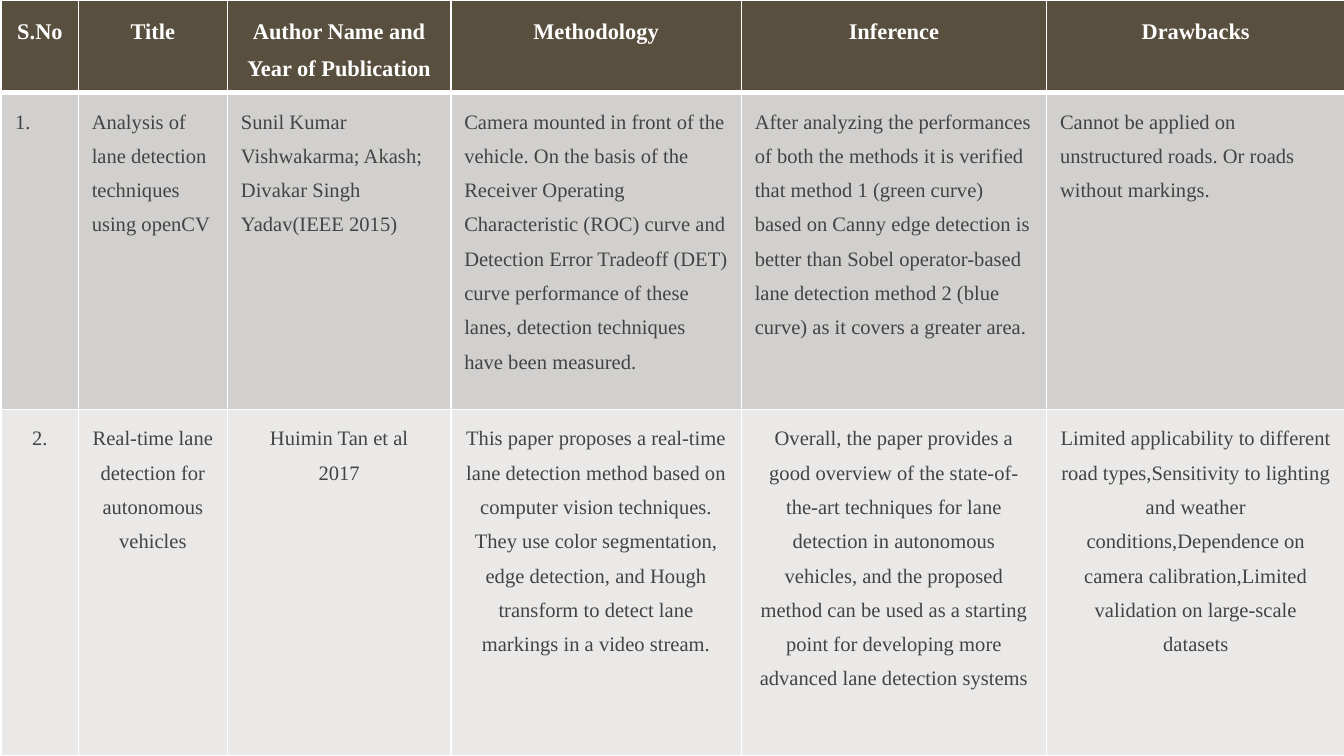
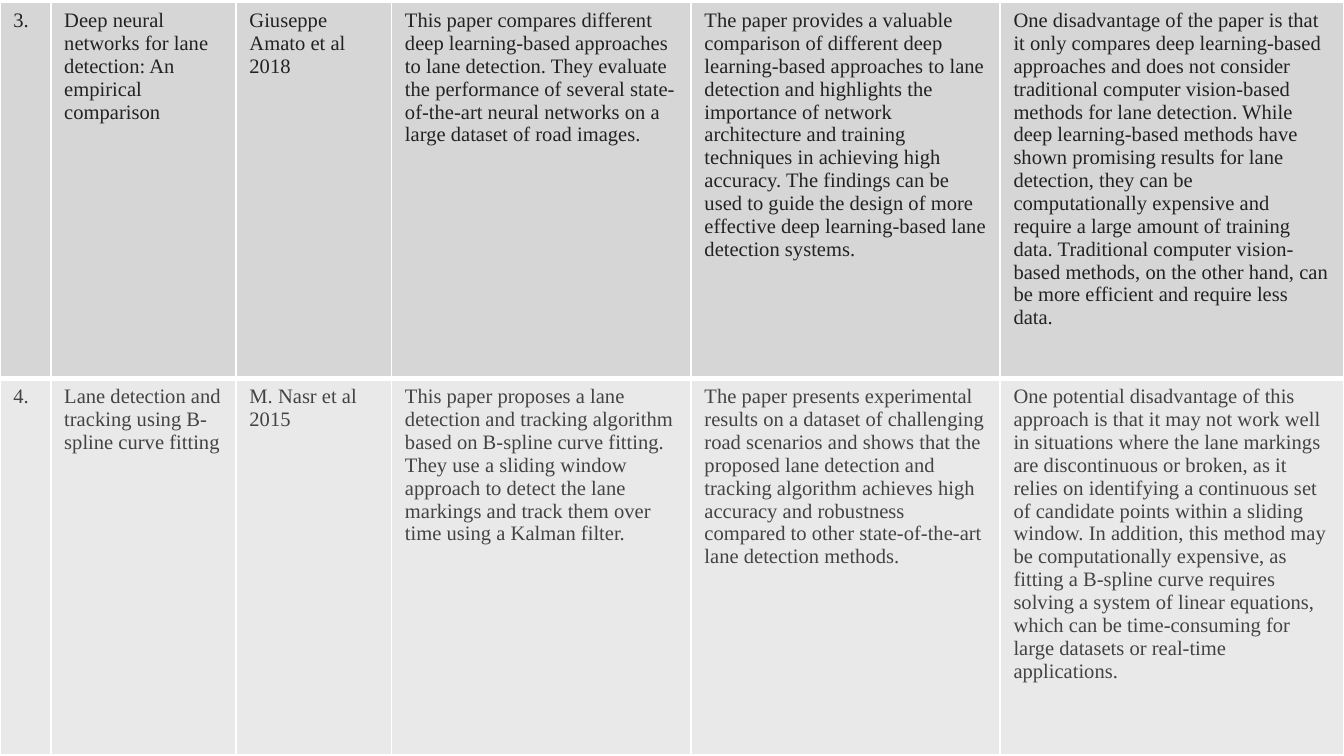
from lxml import etree
from pptx import Presentation, util as u
from pptx.dml import color
from pptx.enum import text
from pptx.oxml import ns

FONT = "Times New Roman"
WHITE = "FFFFFF"
GREY_TEXT = "434343"
CENTER = text.PP_ALIGN.CENTER
LEFT = text.PP_ALIGN.LEFT

HEADER = dict(fill="584F3E", ink=WHITE, size=12, bold=True, align=CENTER, spacing=1.5, bottom=3)
STUDY_1 = dict(fill="D1D0CE", ink=GREY_TEXT, spacing=1.5)
STUDY_2 = dict(fill="EAE9E8", ink=GREY_TEXT, align=CENTER, spacing=1.5)
STUDY_3 = dict(fill="D6D6D6", ink="222222", bottom=3)
STUDY_4 = dict(fill="E9E9E9", ink=GREY_TEXT)

FIRST_ROWS = [
    (1.75, HEADER, [
        "S.No", "Title", "Author Name and Year of Publication",
        "Methodology", "Inference", "Drawbacks",
    ]),
    (5.99, STUDY_1, [
        "1.",
        "Analysis of lane detection techniques using openCV",
        "Sunil Kumar Vishwakarma; Akash; Divakar Singh Yadav(IEEE 2015)",
        "Camera mounted in front of the vehicle. On the basis of the Receiver Operating "
        "Characteristic (ROC) curve and Detection Error Tradeoff (DET) curve performance "
        "of these lanes, detection techniques have been measured.",
        "After analyzing the performances of both the methods it is verified that method 1 "
        "(green curve) based on Canny edge detection is better than Sobel operator-based "
        "lane detection method 2 (blue curve) as it covers a greater area.",
        "Cannot be applied on unstructured roads. Or roads without markings.",
    ]),
    (6.55, STUDY_2, [
        "2.",
        "Real-time lane detection for autonomous vehicles",
        "Huimin Tan et al\n2017",
        "This paper proposes a real-time lane detection method based on computer vision "
        "techniques. They use color segmentation, edge detection, and Hough transform to "
        "detect lane markings in a video stream.",
        "Overall, the paper provides a good overview of the state-of-the-art techniques for "
        "lane detection in autonomous vehicles, and the proposed method can be used as a "
        "starting point for developing more advanced lane detection systems",
        "Limited applicability to different road types,Sensitivity to lighting and weather "
        "conditions,Dependence on camera calibration,Limited validation on large-scale datasets",
    ]),
]

SECOND_ROWS = [
    (7.11, STUDY_3, [
        "3.",
        "Deep neural networks for lane detection: An empirical comparison",
        "Giuseppe Amato et al 2018",
        "This paper compares different deep learning-based approaches to lane detection. "
        "They evaluate the performance of several state-of-the-art neural networks on a "
        "large dataset of road images.",
        "The paper provides a valuable comparison of different deep learning-based approaches "
        "to lane detection and highlights the importance of network architecture and training "
        "techniques in achieving high accuracy. The findings can be used to guide the design "
        "of more effective deep learning-based lane detection systems.",
        "One disadvantage of the paper is that it only compares deep learning-based approaches "
        "and does not consider traditional computer vision-based methods for lane detection. "
        "While deep learning-based methods have shown promising results for lane detection, "
        "they can be computationally expensive and require a large amount of training data. "
        "Traditional computer vision-based methods, on the other hand, can be more efficient "
        "and require less data.",
    ]),
    (7.11, STUDY_4, [
        "4.",
        "Lane detection and tracking using B-spline curve fitting",
        "M. Nasr et al\n2015",
        "This paper proposes a lane detection and tracking algorithm based on B-spline curve "
        "fitting. They use a sliding window approach to detect the lane markings and track "
        "them over time using a Kalman filter.",
        "The paper presents experimental results on a dataset of challenging road scenarios "
        "and shows that the proposed lane detection and tracking algorithm achieves high "
        "accuracy and robustness compared to other state-of-the-art lane detection methods.",
        "One potential disadvantage of this approach is that it may not work well in situations "
        "where the lane markings are discontinuous or broken, as it relies on identifying a "
        "continuous set of candidate points within a sliding window. In addition, this method "
        "may be computationally expensive, as fitting a B-spline curve requires solving a "
        "system of linear equations, which can be time-consuming for large datasets or "
        "real-time applications.",
    ]),
]


def rgb(value):
    return color.RGBColor.from_string(value)


def set_borders(cell, bottom):
    properties = cell._tc.get_or_add_tcPr()
    widths = {"a:lnL": 1, "a:lnR": 1, "a:lnT": 1, "a:lnB": bottom}
    for position, (tag, width) in enumerate(widths.items()):
        line = etree.Element(ns.qn(tag), w=str(u.Pt(width)))
        fill = etree.SubElement(line, ns.qn("a:solidFill"))
        etree.SubElement(fill, ns.qn("a:srgbClr"), val=WHITE)
        properties.insert(position, line)


def fill_cell(cell, content, fill, ink, size=11, bold=False, align=LEFT, spacing=1.0, bottom=1):
    cell.fill.solid()
    cell.fill.fore_color.rgb = rgb(fill)
    set_borders(cell, bottom)
    cell.text_frame.text = content
    for para in cell.text_frame.paragraphs:
        para.alignment = align
        para.line_spacing = spacing
        for span in para.runs:
            span.font.name = FONT
            span.font.size = u.Pt(size)
            span.font.bold = bold
            span.font.color.rgb = rgb(ink)


def add_survey_slide(deck, left, top, widths, rows):
    slide = deck.slides.add_slide(deck.slide_layouts[6])
    height = sum(row_height for row_height, _, _ in rows)
    frame = slide.shapes.add_table(
        len(rows), len(widths), u.Cm(left), u.Cm(top), u.Cm(sum(widths)), u.Cm(height))
    table = frame.table
    table.first_row = False
    table.horz_banding = False
    for column, width in zip(table.columns, widths):
        column.width = u.Cm(width)
    for row, (row_height, style, contents) in zip(table.rows, rows):
        row.height = u.Cm(row_height)
        for cell, content in zip(row.cells, contents):
            fill_cell(cell, content, **style)


def main():
    deck = Presentation()
    deck.slide_width = u.Cm(25.4)
    deck.slide_height = u.Cm(14.29)
    add_survey_slide(deck, 0.03, 0, [1.45, 2.82, 4.22, 5.49, 5.77, 5.64], FIRST_ROWS)
    add_survey_slide(deck, 0, 0.05, [0.96, 3.5, 2.94, 5.66, 5.84, 6.5], SECOND_ROWS)
    deck.save("out.pptx")


if __name__ == "__main__":
    main()
